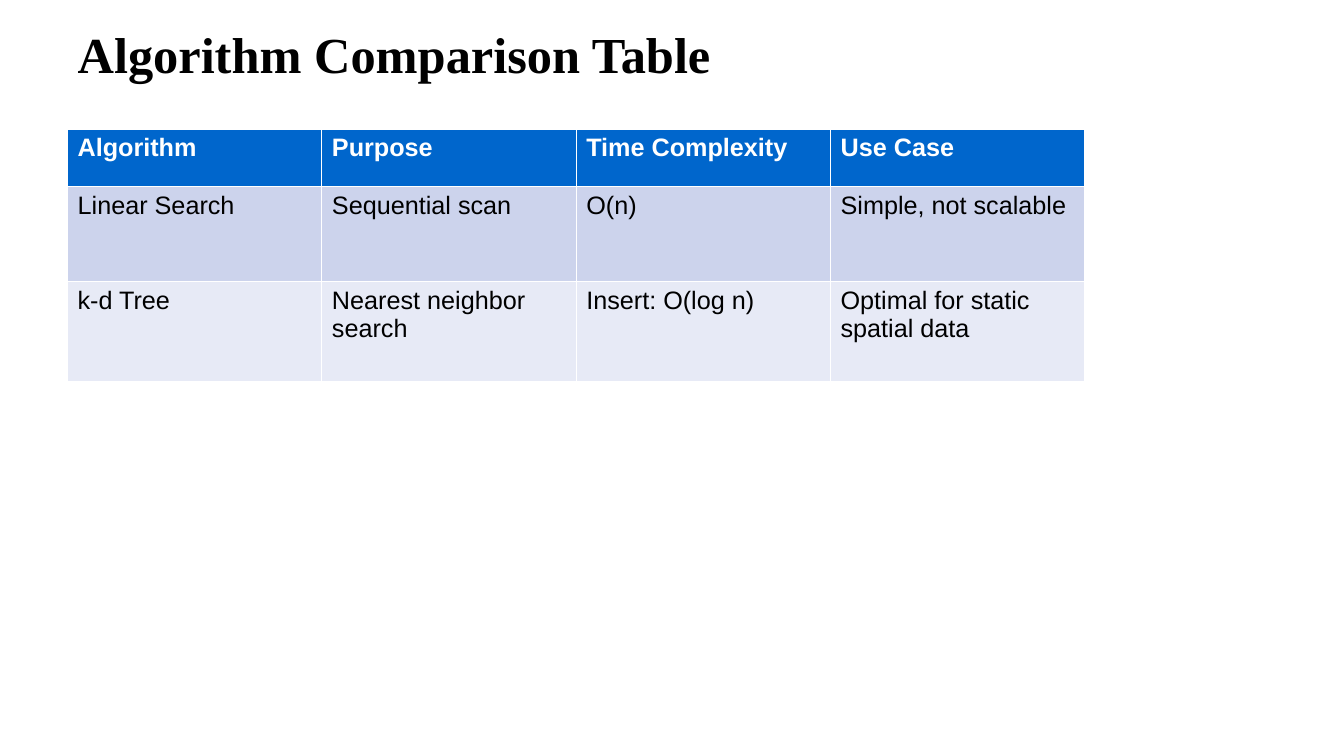
from dataclasses import dataclass

from pptx import Presentation
from pptx.dml.color import RGBColor
from pptx.enum.text import MSO_ANCHOR, MSO_AUTO_SIZE, PP_ALIGN
from pptx.util import Inches, Pt

LEFT = PP_ALIGN.LEFT
MIDDLE = MSO_ANCHOR.MIDDLE
NO_AUTOFIT = MSO_AUTO_SIZE.NONE
TITLE_ONLY = 5


@dataclass(frozen=True)
class Theme:
    title_font: str = "Times New Roman"
    body_font: str = "Arial"
    title_size: int = 36
    body_size: int = 18
    text: str = "000000"
    header_text: str = "FFFFFF"
    header_fill: str = "0066CC"
    row_fills: tuple = ("CCD3EC", "E7EAF6")


THEME = Theme()
TITLE = "Algorithm Comparison Table"
ALGORITHM_ROWS = [
    ["Algorithm", "Purpose", "Time Complexity", "Use Case"],
    ["Linear Search", "Sequential scan", "O(n)", "Simple, not scalable"],
    ["k-d Tree", "Nearest neighbor search", "Insert: O(log n)",
     "Optimal for static spatial data"],
]
ROW_HEIGHTS = [0.57, 0.94, 1]


def write_text(text_frame, text, *, font=THEME.body_font, size=THEME.body_size,
               color=THEME.text, bold=False):
    paragraph = text_frame.paragraphs[0]
    paragraph.alignment = LEFT
    run = paragraph.add_run()
    run.text = text
    run.font.name = font
    run.font.size = Pt(size)
    run.font.bold = bold
    run.font.color.rgb = RGBColor.from_string(color)


def place_title(slide, left, top, width, height):
    title = slide.shapes.title
    title.left, title.top = Inches(left), Inches(top)
    title.width, title.height = Inches(width), Inches(height)
    text_frame = title.text_frame
    text_frame.word_wrap = True
    text_frame.auto_size = NO_AUTOFIT
    text_frame.vertical_anchor = MIDDLE
    write_text(text_frame, TITLE, font=THEME.title_font,
               size=THEME.title_size, bold=True)


def add_algorithm_table(slide, left, top, width):
    """Add the table; its default style draws the white cell borders."""
    column_count = len(ALGORITHM_ROWS[0])
    table = slide.shapes.add_table(
        len(ALGORITHM_ROWS), column_count, Inches(left), Inches(top),
        Inches(width), Inches(sum(ROW_HEIGHTS))).table
    for column in table.columns:
        column.width = Inches(width / column_count)
    for index, (row, height) in enumerate(zip(table.rows, ROW_HEIGHTS)):
        row.height = Inches(height)
        is_header = index == 0
        fill = THEME.header_fill if is_header else THEME.row_fills[(index - 1) % 2]
        color = THEME.header_text if is_header else THEME.text
        for cell, text in zip(row.cells, ALGORITHM_ROWS[index]):
            cell.fill.solid()
            cell.fill.fore_color.rgb = RGBColor.from_string(fill)
            write_text(cell.text_frame, text, color=color, bold=is_header)


def main():
    presentation = Presentation()
    presentation.slide_width = Inches(13.33)
    presentation.slide_height = Inches(7.5)
    slide = presentation.slides.add_slide(presentation.slide_layouts[TITLE_ONLY])
    place_title(slide, 0.67, 0.21, 12, 0.64)
    add_algorithm_table(slide, 0.67, 1.28, 10.09)
    presentation.save("out.pptx")


if __name__ == "__main__":
    main()
